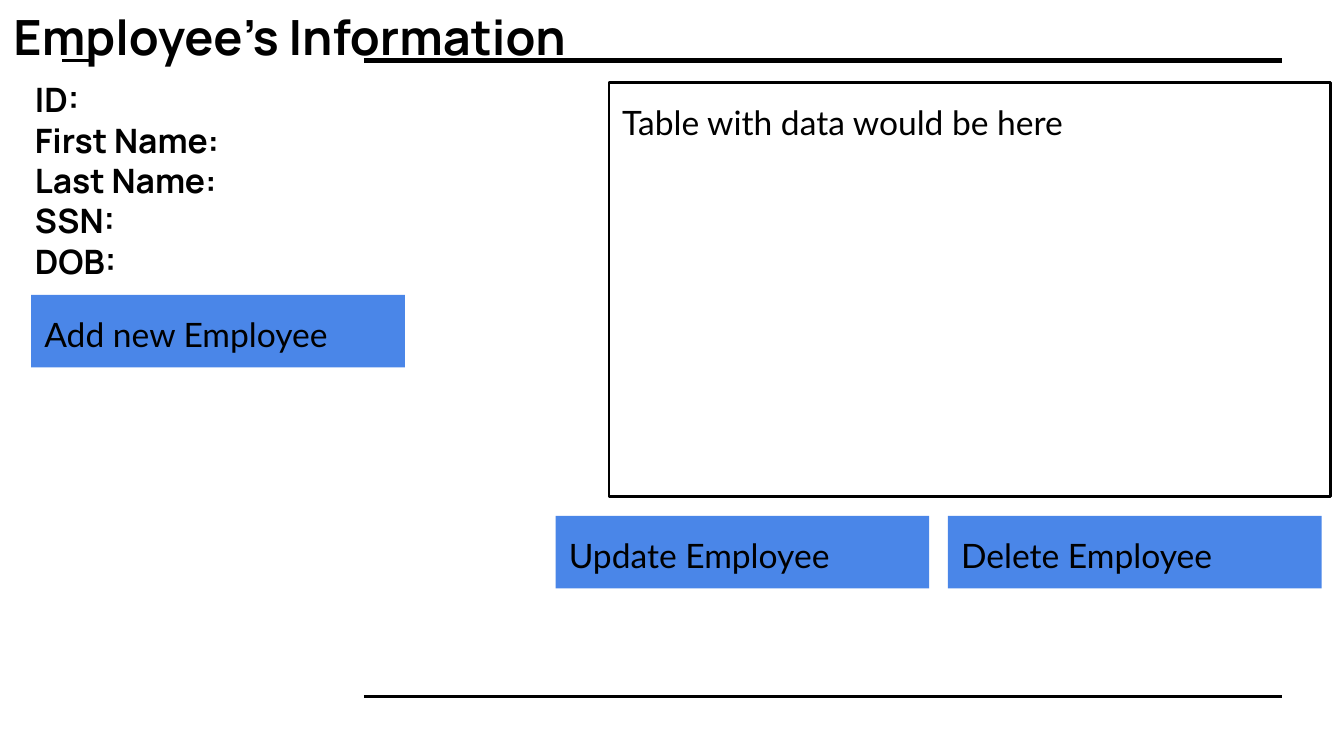
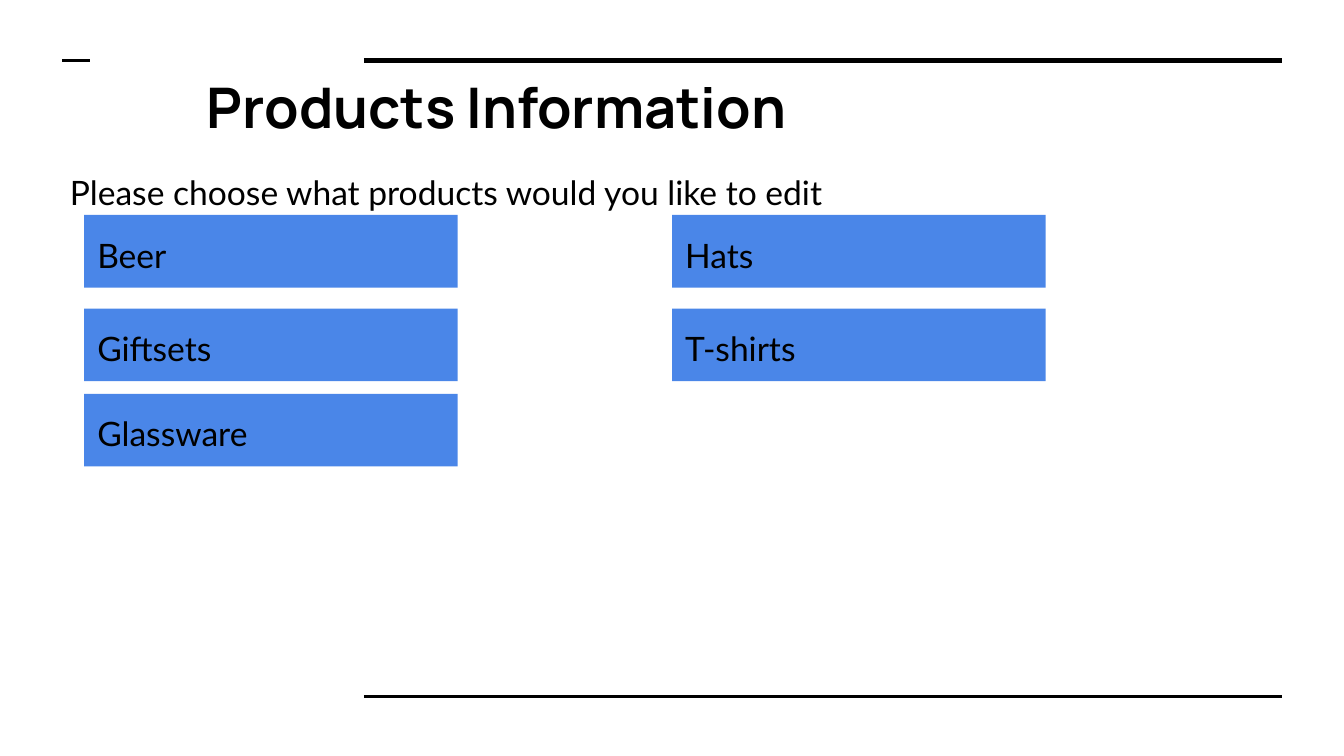
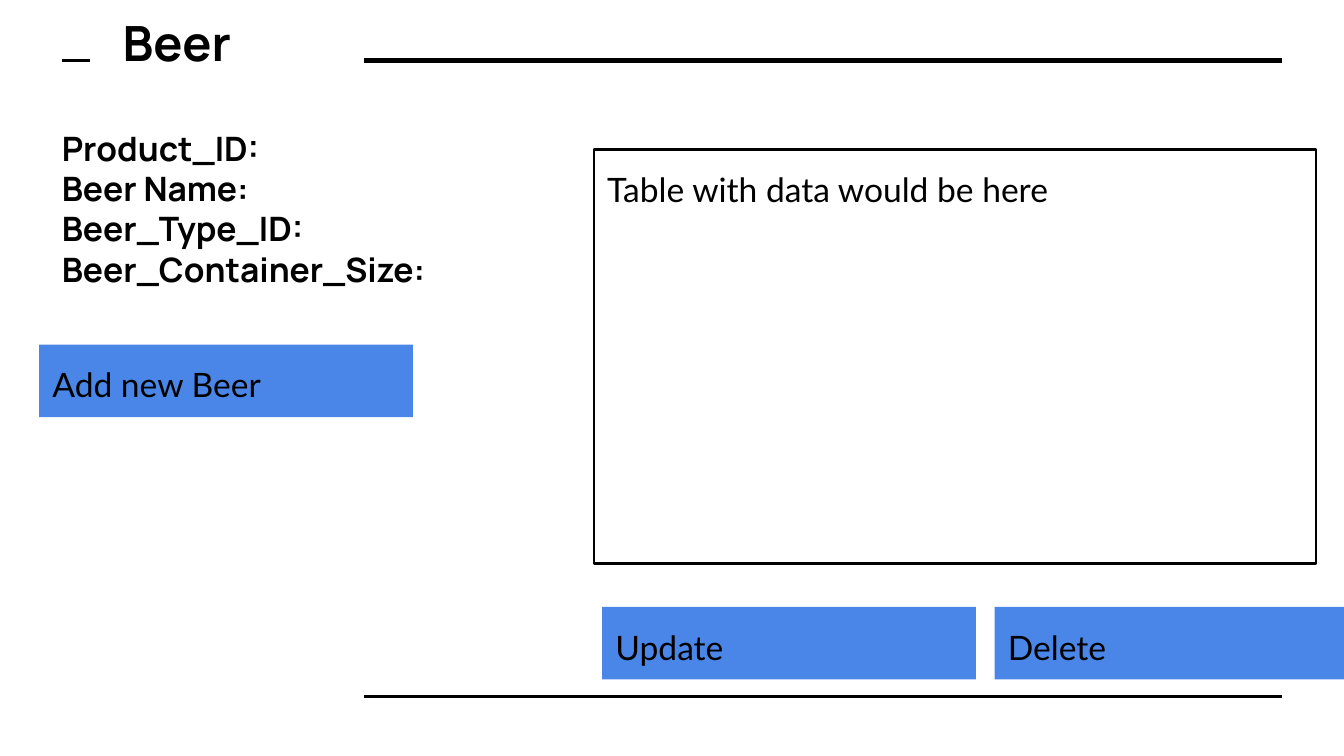
from dataclasses import dataclass
from typing import NamedTuple, Optional

from lxml import etree
from pptx import Presentation
from pptx.dml.color import RGBColor
from pptx.enum import shapes, text
from pptx.oxml import ns
from pptx.util import Pt

BLACK, WHITE, BLUE = "000000", "FFFFFF", "4A86E8"
HEADING_FONT, BODY_FONT = "Manrope", "Lato"
BODY_SIZE = 18
INSET = 7.2
BUTTON_WIDTH, BUTTON_HEIGHT, BUTTON_GAP = 200.2, 38.9, 10
TABLE_WIDTH, TABLE_HEIGHT = 386.8, 221.8
FIELDS_WIDTH, FIELDS_HEIGHT = 265.7, 136.8


class Rule(NamedTuple):
    left: float
    right: float
    top: float
    weight: float


class Area(NamedTuple):
    left: float
    top: float
    width: float
    height: float


class Spot(NamedTuple):
    left: float
    top: float


@dataclass(frozen=True)
class Style:
    font: str
    size: float
    bold: bool = False
    line_spacing: float = 1.0
    space_after: float = 0


@dataclass(frozen=True)
class Button:
    label: str
    spot: Spot


@dataclass(frozen=True)
class RecordForm:
    """A page that edits one kind of record beside its data table."""
    heading: str
    heading_spot: Spot
    fields: list[str]
    fields_spot: Spot
    table_spot: Spot
    add_button: Button
    row_labels: list[str]
    row_spot: Spot


RULES = [
    Rule(195, 687, 32.5, 3),
    Rule(195, 687, 373, 1.5),
    Rule(33.5, 48, 32.5, 1.5),
]
FORM_HEADING = Style(HEADING_FONT, 26, bold=True)
PAGE_HEADING = Style(HEADING_FONT, 30, bold=True)
FIELD = Style(HEADING_FONT, BODY_SIZE, bold=True)
BODY = Style(BODY_FONT, BODY_SIZE, line_spacing=1.15, space_after=16)

EMPLOYEES = RecordForm(
    "Employee’s Information", Spot(0, -3.6),
    ["ID:", "First Name:", "Last Name:", "SSN:", "DOB:"], Spot(11.5, 35.3),
    Spot(326.2, 44),
    Button("Add new Employee", Spot(16.7, 158)),
    ["Update Employee", "Delete Employee"], Spot(297.6, 276.4),
)
BEERS = RecordForm(
    "Beer", Spot(58.5, 0),
    ["Product_ID:", "Beer Name:", "Beer_Type_ID:", "Beer_Container_Size:"], Spot(25.9, 61.2),
    Spot(318.2, 80),
    Button("Add new Beer", Spot(21, 184.6)),
    ["Update", "Delete"], Spot(322.6, 325.2),
)
PRODUCT_ROWS = [115.2, 165.4, 211]
PRODUCT_COLUMNS = {45: ["Beer", "Giftsets", "Glassware"], 360: ["Hats", "T-shirts"]}


def color(value: str) -> RGBColor:
    return RGBColor.from_string(value)


def place(box, area: Area) -> None:
    box.left, box.top, box.width, box.height = (Pt(length) for length in area)


def write(box, lines: list[str], style: Style) -> None:
    """Fill a box with left-aligned, unbulleted paragraphs."""
    frame = box.text_frame
    frame.word_wrap = True
    frame.auto_size = text.MSO_AUTO_SIZE.NONE
    frame.vertical_anchor = text.MSO_ANCHOR.TOP
    frame.margin_left = frame.margin_right = Pt(INSET)
    frame.margin_top = frame.margin_bottom = Pt(INSET)
    for index, line in enumerate(lines):
        para = frame.add_paragraph() if index else frame.paragraphs[0]
        para.alignment = text.PP_ALIGN.LEFT
        para.line_spacing = style.line_spacing
        para.space_before = Pt(0)
        para.space_after = Pt(style.space_after)
        properties = para._p.get_or_add_pPr()
        properties.set("marL", "0")
        properties.set("indent", "0")
        etree.SubElement(properties, ns.qn("a:buNone"))
        span = para.add_run()
        span.text = line
        span.font.name = style.font
        span.font.size = Pt(style.size)
        span.font.bold = style.bold
        span.font.color.rgb = color(BLACK)


def add_rule(page, rule: Rule) -> None:
    line = page.shapes.add_connector(
        shapes.MSO_CONNECTOR.STRAIGHT,
        Pt(rule.left), Pt(rule.top), Pt(rule.right), Pt(rule.top),
    )
    line.line.color.rgb = color(BLACK)
    line.line.width = Pt(rule.weight)
    etree.SubElement(line._element.spPr, ns.qn("a:effectLst"))


def add_page(deck):
    page = deck.slides.add_slide(deck.slide_layouts[1])
    page.background.fill.solid()
    page.background.fill.fore_color.rgb = color(WHITE)
    for rule in RULES:
        add_rule(page, rule)
    return page


def fill_placeholder(page, index: int, area: Area, lines: list[str], style: Style) -> None:
    box = page.placeholders[index]
    place(box, area)
    write(box, lines, style)


def add_panel(page, area: Area, label: str, fill: Optional[str] = None) -> None:
    """Add a labelled rectangle: filled, or outlined when no fill is given."""
    box = page.shapes.add_shape(
        shapes.MSO_SHAPE.RECTANGLE, *(Pt(length) for length in area))
    box.shadow.inherit = False
    if fill:
        box.fill.solid()
        box.fill.fore_color.rgb = color(fill)
        box.line.fill.background()
    else:
        box.fill.background()
        box.line.color.rgb = color(BLACK)
        box.line.width = Pt(1.5)
    write(box, [label], BODY)


def add_button(page, button: Button) -> None:
    add_panel(page, Area(*button.spot, BUTTON_WIDTH, BUTTON_HEIGHT), button.label, BLUE)


def add_form_page(deck, form: RecordForm) -> None:
    page = add_page(deck)
    fill_placeholder(page, 0, Area(*form.heading_spot, 488, 47.5), [form.heading], FORM_HEADING)
    fill_placeholder(page, 1, Area(*form.fields_spot, FIELDS_WIDTH, FIELDS_HEIGHT),
                     form.fields, FIELD)
    add_panel(page, Area(*form.table_spot, TABLE_WIDTH, TABLE_HEIGHT),
              "Table with data would be here")
    add_button(page, form.add_button)
    for column, label in enumerate(form.row_labels):
        left = form.row_spot.left + column * (BUTTON_WIDTH + BUTTON_GAP)
        add_button(page, Button(label, Spot(left, form.row_spot.top)))


def add_products_page(deck) -> None:
    page = add_page(deck)
    fill_placeholder(page, 0, Area(103.7, 31.7, 497.5, 49.7),
                     ["Products Information"], PAGE_HEADING)
    fill_placeholder(page, 1, Area(30.2, 81.4, 497.5, 33.1),
                     ["Please choose what products would you like to edit"], BODY)
    for left, labels in PRODUCT_COLUMNS.items():
        for top, label in zip(PRODUCT_ROWS, labels):
            add_button(page, Button(label, Spot(left, top)))


def main() -> None:
    deck = Presentation()
    deck.slide_width, deck.slide_height = Pt(720), Pt(405)
    add_form_page(deck, EMPLOYEES)
    add_products_page(deck)
    add_form_page(deck, BEERS)
    deck.save("out.pptx")


if __name__ == "__main__":
    main()
